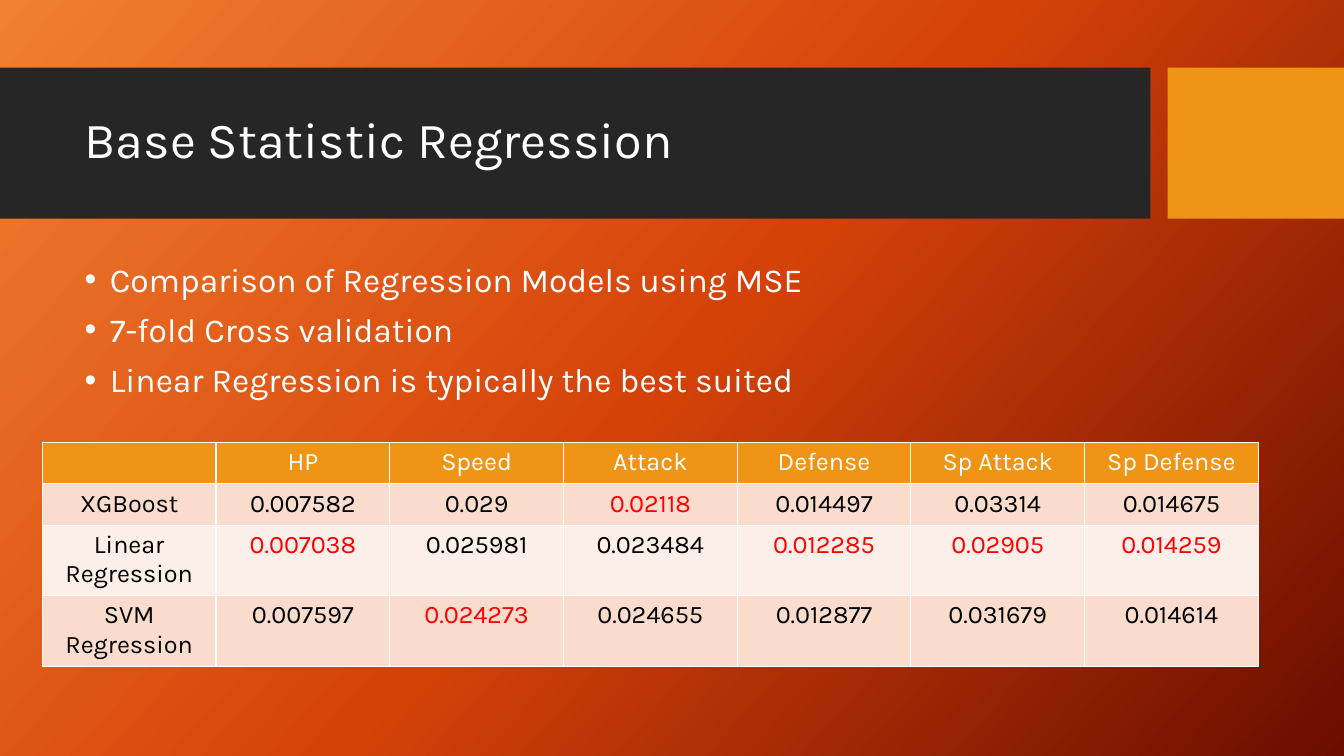
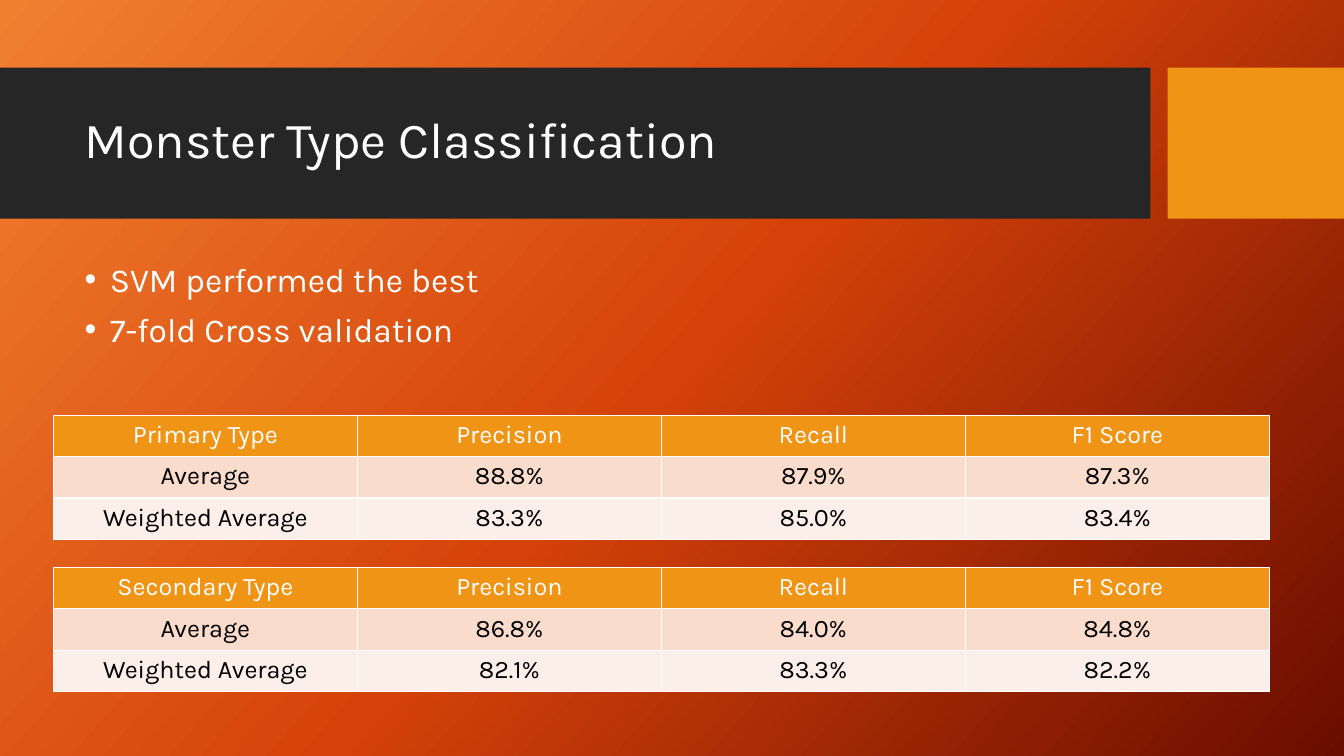
from copy import deepcopy

from lxml import etree
from pptx import Presentation
from pptx.dml.color import RGBColor as RGB
from pptx.enum.shapes import MSO_SHAPE as SHAPE
from pptx.enum.text import MSO_ANCHOR as ANCHOR, PP_ALIGN as ALIGN
from pptx.oxml.ns import qn
from pptx.util import Inches, Pt

FONT = "Karla"
COLORS = {
    "glow": "F18031", "flame": "D54209", "ember": "6A0D00",
    "band": "262626", "accent": "F09415", "white": "FFFFFF",
    "black": "000000", "best": "FF0000",
    "odd_row": "F9DCCC", "even_row": "FCEEE8",
}
TABLE_WIDTH = 12.06
ROW_HEIGHT = 0.41

SCORES = ["Precision", "Recall", "F1 Score"]
SLIDES = [
    {
        "title": "Base Statistic Regression",
        "points": ["Comparison of Regression Models using MSE",
                   "7-fold Cross validation",
                   "Linear Regression is typically the best suited"],
        "mark_lowest": True,
        "tables": [(0.42, 4.39, [
            ["", "HP", "Speed", "Attack", "Defense", "Sp Attack", "Sp Defense"],
            ["XGBoost", "0.007582", "0.029", "0.02118", "0.014497", "0.03314", "0.014675"],
            ["Linear Regression", "0.007038", "0.025981", "0.023484", "0.012285", "0.02905", "0.014259"],
            ["SVM Regression", "0.007597", "0.024273", "0.024655", "0.012877", "0.031679", "0.014614"],
        ])],
    },
    {
        "title": "Monster Type Classification",
        "points": ["SVM performed the best", "7-fold Cross validation"],
        "mark_lowest": False,
        "tables": [
            (0.53, 4.12, [["Primary Type", *SCORES],
                          ["Average", "88.8%", "87.9%", "87.3%"],
                          ["Weighted Average", "83.3%", "85.0%", "83.4%"]]),
            (0.53, 5.63, [["Secondary Type", *SCORES],
                          ["Average", "86.8%", "84.0%", "84.8%"],
                          ["Weighted Average", "82.1%", "83.3%", "82.2%"]]),
        ],
    },
]


def style_font(font, size, color):
    font.name = FONT
    font.size = Pt(size)
    font.bold = False
    font.color.rgb = RGB.from_string(COLORS[color])


def add_borders(cell):
    props = cell._tc.get_or_add_tcPr()
    for side in ("a:lnL", "a:lnR", "a:lnT", "a:lnB"):
        line = etree.SubElement(props, qn(side), w=str(Pt(1)))
        solid = etree.SubElement(line, qn("a:solidFill"))
        etree.SubElement(solid, qn("a:srgbClr"), val=COLORS["white"])


prs = Presentation()
prs.slide_width, prs.slide_height = Inches(13.33), Inches(7.5)

# Shared background: three-stop diagonal gradient
backdrop = prs.slide_master.background.fill
backdrop.gradient()
backdrop.gradient_angle = 360 - 42
stop_list = next(prs.slide_master.element.iter(qn("a:gsLst")))
stop_list.insert(1, deepcopy(stop_list[0]))
for stop, name, position in zip(backdrop.gradient_stops,
                                ("glow", "flame", "ember"), (0, 0.5, 1)):
    stop.color.rgb = RGB.from_string(COLORS[name])
    stop.position = position

for content in SLIDES:
    slide = prs.slides.add_slide(prs.slide_layouts[6])

    # Title band and accent block
    for left, width, color in ((0, 11.41, "band"), (11.58, 1.75, "accent")):
        band = slide.shapes.add_shape(SHAPE.RECTANGLE, Inches(left), Inches(0.67),
                                      Inches(width), Inches(1.5))
        band.shadow.inherit = False
        band.fill.solid()
        band.fill.fore_color.rgb = RGB.from_string(COLORS[color])
        band.line.fill.background()

    # Title
    title = slide.shapes.add_textbox(Inches(0.74), Inches(0.82),
                                     Inches(10.51), Inches(1.18)).text_frame
    title.word_wrap = True
    title.vertical_anchor = ANCHOR.MIDDLE
    title.text = content["title"]
    title.paragraphs[0].line_spacing = 0.9
    style_font(title.paragraphs[0].runs[0].font, 36, "white")

    # Bullet points
    points = slide.shapes.add_textbox(Inches(0.74), Inches(2.56),
                                      Inches(10.51), Inches(1.5)).text_frame
    points.word_wrap = True
    points.text = "\n".join(content["points"])
    for index, point in enumerate(points.paragraphs):
        point.line_spacing = 0.9
        if index:
            point.space_before = Pt(10)
        props = point._p.get_or_add_pPr()
        props.set("marL", str(Inches(0.25)))
        props.set("indent", str(-Inches(0.25)))
        etree.SubElement(props, qn("a:buFont"), typeface="Arial")
        etree.SubElement(props, qn("a:buChar"), char="•")
        style_font(point.runs[0].font, 24, "white")

    # Result tables
    for left, top, rows in content["tables"]:
        column_count = len(rows[0])
        results = slide.shapes.add_table(
            len(rows), column_count, Inches(left), Inches(top),
            Inches(TABLE_WIDTH), Inches(ROW_HEIGHT * len(rows))).table
        for column in results.columns:
            column.width = Inches(TABLE_WIDTH / column_count)
        lowest = [min(values[1:], key=float) if content["mark_lowest"] and c else None
                  for c, values in enumerate(zip(*rows))]
        for r, values in enumerate(rows):
            row_fill = "accent" if r == 0 else "odd_row" if r % 2 else "even_row"
            for c, value in enumerate(values):
                cell = results.cell(r, c)
                add_borders(cell)
                cell.fill.solid()
                cell.fill.fore_color.rgb = RGB.from_string(COLORS[row_fill])
                cell.text_frame.text = value
                entry = cell.text_frame.paragraphs[0]
                entry.alignment = ALIGN.CENTER
                color = "white" if r == 0 else "best" if value == lowest[c] else "black"
                style_font(entry.font, 18, color)
                for run in entry.runs:
                    style_font(run.font, 18, color)

prs.save("out.pptx")
